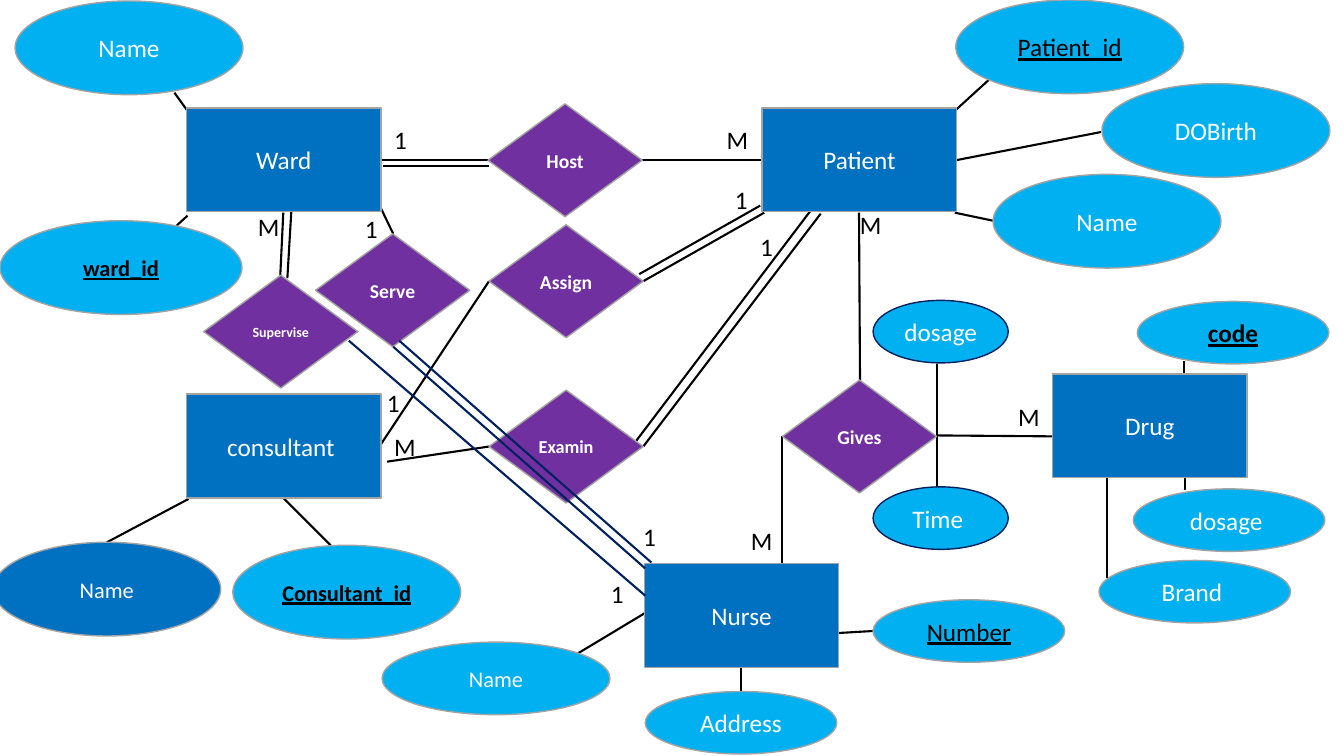
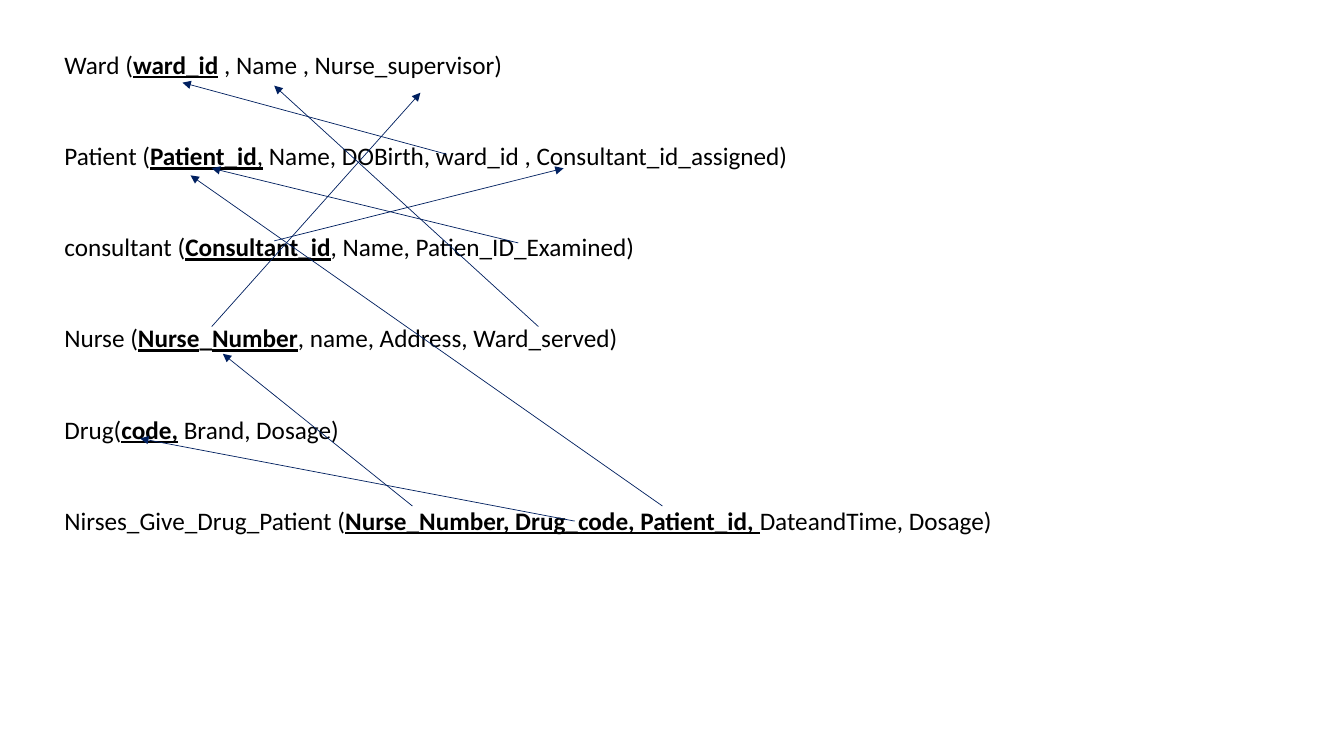
from lxml import etree
from pptx import Presentation, util as u
from pptx.dml.color import RGBColor
from pptx.enum import shapes, text
from pptx.oxml import ns

FONT = "Calibri"
BLACK, WHITE, NAVY, GREY = "000000", "FFFFFF", "002060", "A3A3A3"
BLUE, SKY, PLUM = "0070C0", "00B0F0", "7030A0"
KIND = shapes.MSO_SHAPE
PLAIN, KEY = {}, {"bold": True, "underline": True}
LINED, BOLD = {"underline": True}, {"bold": True}

ENTITY = dict(kind=KIND.RECTANGLE, size=(1.93, 1.03), fill=BLUE)
LINK = dict(kind=KIND.DIAMOND, size=(1.53, 1.12), fill=PLUM, pt=14, style=BOLD)
WIDE = dict(kind=KIND.OVAL, size=(2.26, 0.93), fill=SKY)
SLIM = dict(WIDE, size=(1.9, 0.62))
TINY = dict(WIDE, size=(1.34, 0.62), edge=NAVY)
INKED = dict(style=KEY, ink=BLACK)

NODES = [
    (ENTITY, [("Ward", 1.85, 1.07), ("Patient", 7.56, 1.07),
              ("consultant ", 1.85, 3.91), ("Drug", 10.44, 3.71),
              ("Nurse", 6.39, 5.59)]),
    (LINK, [("Host", 4.84, 1.03), ("Assign", 4.85, 2.23),
            ("Gives", 7.76, 3.77), ("Serve", 3.13, 2.32)]),
    (dict(LINK, pt=13), [("Examin", 4.85, 3.87)]),
    (dict(LINK, pt=10), [("Supervise", 2.02, 2.73)]),
    (WIDE, [("Name", 0.15, 0.01), ("DOBirth", 10.93, 0.83),
            ("Name", 9.85, 1.73)]),
    (dict(WIDE, fill=BLUE, pt=16), [("Name", -0.07, 5.38)]),
    (dict(WIDE, size=(2.26, 0.72), pt=16), [("Name", 3.79, 6.37)]),
    (dict(WIDE, style=LINED, ink=BLACK), [("Patient_id", 9.48, 0)]),
    (dict(WIDE, pt=16, **INKED), [("Consultant_id", 2.31, 5.41)]),
    (dict(WIDE, size=(2.4, 0.93), pt=16, **INKED), [("ward_id", 0, 2.19)]),
    (SLIM, [("Address", 6.4, 6.86), ("dosage ", 11.24, 4.85),
            ("Brand ", 10.9, 5.56)]),
    (dict(SLIM, style=LINED, ink=BLACK), [("Number", 8.66, 5.95)]),
    (dict(SLIM, **INKED), [("code", 11.28, 2.99)]),
    (TINY, [("dosage ", 8.66, 2.98), ("Time ", 8.66, 4.83)]),
]

TIES = [
    (7.35, 6.62, 7.35, 6.86), (6.37, 1.59, 7.56, 1.59),
    (3.79, 1.59, 4.84, 1.59), (3.8, 1.65, 4.85, 1.65),
    (6.38, 2.79, 7.58, 2.11), (6.34, 2.72, 7.54, 2.04),
    (3.77, 4.42, 4.85, 2.79), (3.84, 4.58, 4.85, 4.43),
    (11.75, 4.86, 11.75, 4.52), (11.74, 3.71, 11.74, 3.58),
    (9.47, 2.11, 9.85, 2.19), (9.47, 1.1, 9.81, 0.79),
    (9.48, 1.59, 10.92, 1.31), (5.22, 6.79, 6.45, 6.05),
    (8.66, 6.26, 7.63, 6.32), (1.06, 5.38, 1.87, 4.95),
    (2.81, 4.94, 3.28, 5.41), (6.38, 4.43, 8.14, 2.12),
    (6.29, 4.4, 8.04, 2.09), (1.73, 0.92, 1.86, 1.1),
    (1.75, 2.24, 1.86, 2.14), (10.98, 4.74, 10.98, 5.73),
    (7.76, 4.33, 7.76, 5.59), (8.52, 2.11, 8.53, 3.79),
    (10.56, 4.33, 9.29, 4.32), (9.29, 3.61, 9.29, 5.18),
    (3.78, 2.07, 3.9, 2.32), (2.78, 2.73, 2.81, 2.11),
    (2.85, 2.76, 2.91, 1.75),
]
NURSE = [(3.96, 3.38, 6.46, 5.58), (3.9, 3.44, 6.4, 5.64),
         (3.46, 3.38, 6.4, 5.91)]

MARKS = {
    "1": [(3.81, 1.18), (3.74, 3.79), (7.19, 1.78), (7.44, 2.25),
          (3.52, 2.07), (6.28, 5.12), (5.96, 5.69)],
    "M": [(7.11, 1.18), (3.81, 4.23), (2.46, 2.05), (8.43, 2.03),
          (10, 3.93), (7.35, 5.16)],
}

TABLES = [
    [("Ward (", PLAIN), ("ward_id", KEY),
     (" , Name , Nurse_supervisor)", PLAIN)],
    [("Patient (", PLAIN), ("Patient_id", KEY), (",", LINED),
     (" Name, DOBirth, ward_id , Consultant_id_assigned)", PLAIN)],
    [("consultant (", PLAIN), ("Consultant_id", KEY),
     (", Name, Patien_ID_Examined)", PLAIN)],
    [("Nurse (", PLAIN), ("Nurse", KEY), ("_", BOLD), ("Number", KEY),
     (", name, Address, Ward_served)", PLAIN)],
    [("Drug(", PLAIN), ("code,", KEY), (" Brand, Dosage)", PLAIN)],
    [("Nirses_Give_Drug_Patient (", PLAIN),
     ("Nurse_Number, Drug_code, Patient_id, ", KEY),
     ("DateandTime, Dosage)", PLAIN)],
]
REFS = [
    (5.14, 2.41, 2.1, 1.67), (2.72, 2.39, 5.59, 1.67),
    (6.57, 5.02, 1.89, 1.74), (4.43, 1.53, 1.81, 0.82),
    (5.7, 5.17, 1.39, 4.35), (4.09, 5.02, 2.21, 3.51),
    (2.1, 3.24, 4.17, 0.92), (5.34, 3.24, 2.72, 0.85),
]


def cm(*spans):
    return [u.Cm(span * 2.54) for span in spans]


def tint(code):
    return RGBColor.from_string(code)


def assign(item, values):
    for name, value in values.items():
        setattr(item, name, value)


def write(para, words, pt=18, ink=BLACK, style=PLAIN):
    run = para.add_run()
    run.text = words
    assign(run.font, {"name": FONT, "size": u.Pt(pt), **style})
    run.font.color.rgb = tint(ink)


def node(slide, words, left, top, kind, size, fill,
         edge=GREY, pt=18, ink=WHITE, style=PLAIN):
    shape = slide.shapes.add_shape(kind, *cm(left, top, *size))
    shape.shadow.inherit = False
    shape.fill.solid()
    shape.fill.fore_color.rgb = tint(fill)
    shape.line.color.rgb = tint(edge)
    shape.line.width = u.Pt(1)
    frame = shape.text_frame
    assign(frame, {"word_wrap": True,
                   "vertical_anchor": text.MSO_ANCHOR.MIDDLE})
    para = frame.paragraphs[0]
    para.alignment = text.PP_ALIGN.CENTER
    write(para, words, pt, ink, style)


def tie(slide, ends, ink=BLACK, pt=1.5, arrow=False):
    line = slide.shapes.add_connector(
        shapes.MSO_CONNECTOR.STRAIGHT, *cm(*ends))
    line.line.color.rgb = tint(ink)
    line.line.width = u.Pt(pt)
    if arrow:
        etree.SubElement(line.line._get_or_add_ln(), ns.qn("a:tailEnd"),
                         type="triangle")
    etree.SubElement(line._element.spPr, ns.qn("a:effectLst"))


def box(slide, *area):
    frame = slide.shapes.add_textbox(*cm(*area)).text_frame
    assign(frame, {"word_wrap": True,
                   "auto_size": text.MSO_AUTO_SIZE.SHAPE_TO_FIT_TEXT})
    return frame


def diagram(slide):
    for ends in TIES:
        tie(slide, ends)
    for look, items in NODES:
        for item in items:
            node(slide, *item, **look)
    for ends in NURSE:
        tie(slide, ends, NAVY)
    for mark, spots in MARKS.items():
        for spot in spots:
            frame = box(slide, *spot, 0.44, 0.4)
            write(frame.paragraphs[0], mark)


def schema(slide):
    frame = box(slide, 0.54, 0.44, 10.89, 5.55)
    for row, parts in enumerate(TABLES):
        para = frame.add_paragraph() if row else frame.paragraphs[0]
        para.space_before = u.Pt(43.5 if row else 0)
        for words, style in parts:
            write(para, words, style=style)
    for ends in REFS:
        tie(slide, ends, NAVY, 0.5, True)


def main():
    deck = Presentation()
    width, height = cm(13.33, 7.5)
    assign(deck, {"slide_width": width, "slide_height": height})
    for draw in (diagram, schema):
        draw(deck.slides.add_slide(deck.slide_layouts[6]))
    deck.save("out.pptx")


main()
